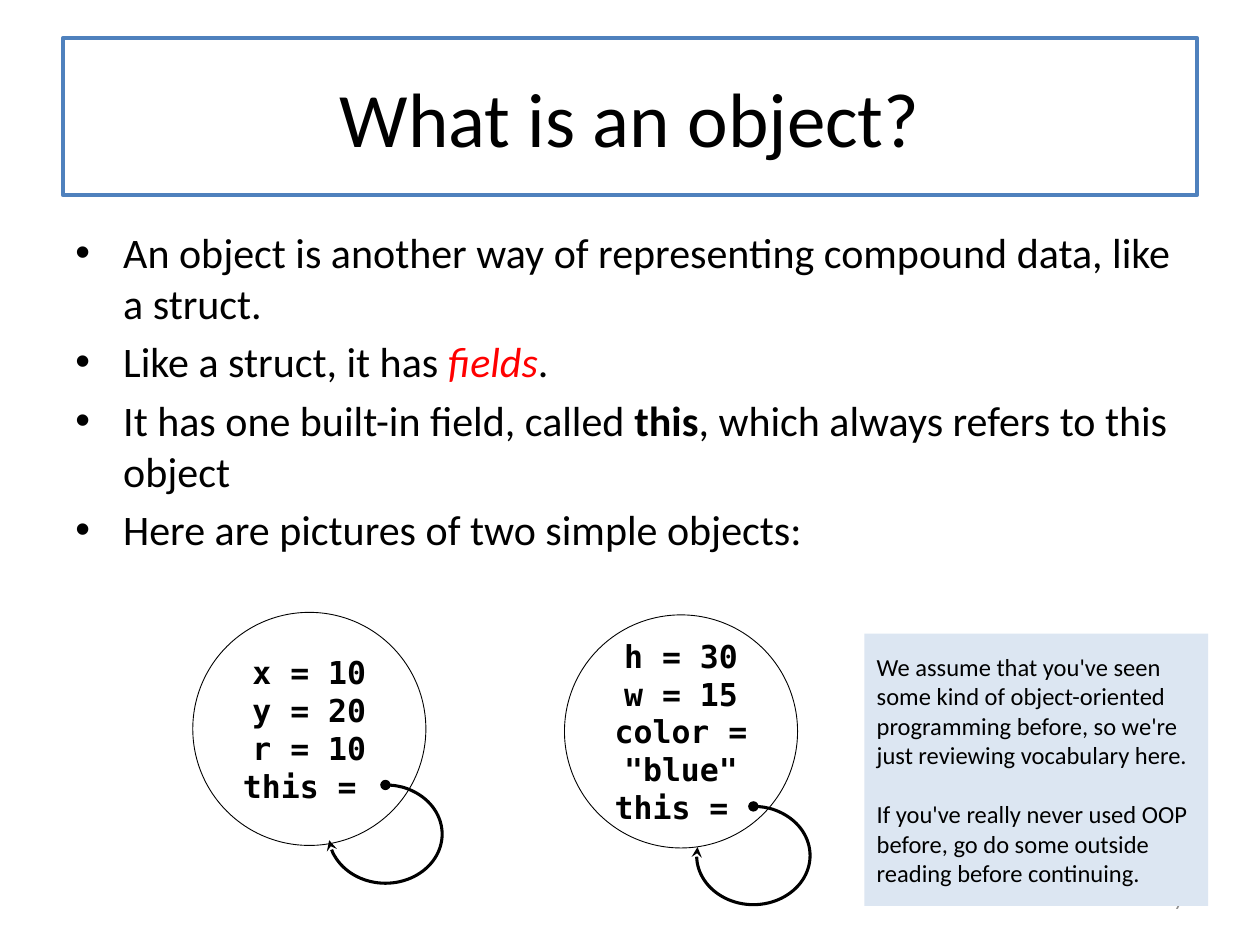
import pptx
import pptx.dml.color
import pptx.enum.shapes
import pptx.enum.text
import pptx.oxml
import pptx.oxml.ns
import pptx.util

SHAPE = pptx.enum.shapes.MSO_SHAPE
ALIGN = pptx.enum.text.PP_ALIGN
ANCHOR = pptx.enum.text.MSO_ANCHOR
COLUMNS, ROWS = 40, 30


def color(hex_string):
    return pptx.dml.color.RGBColor.from_string(hex_string)


def drawing_element(tag, **attributes):
    listed = "".join(f' {name}="{value}"' for name, value in attributes.items())
    return pptx.oxml.parse_xml(f'<a:{tag} {pptx.oxml.ns.nsdecls("a")}{listed}/>')


def write_text(paragraph, text, font="Calibri", size=24, hex_color="000000",
               bold=False, italic=False):
    run = paragraph.add_run()
    run.text = text
    run.font.name = font
    run.font.size = pptx.util.Pt(size)
    run.font.bold = bold
    run.font.italic = italic
    run.font.color.rgb = color(hex_color)


class SlideBuilder:
    """Holds the style and the slide; boxes are (column, row, columns, rows)."""

    accent, ink, note_fill, muted = "4F81BD", "000000", "DCE6F2", "8C8C8C"
    code_font = "DejaVu Sans Mono"

    def __init__(self, presentation):
        self.column = presentation.slide_width / COLUMNS
        self.row = presentation.slide_height / ROWS
        self.slide = presentation.slides.add_slide(presentation.slide_layouts[5])

    def place(self, box):
        left, top, width, height = box
        return (round(left * self.column), round(top * self.row),
                round(width * self.column), round(height * self.row))

    def title(self, box, text):
        shape = self.slide.shapes.title
        shape.left, shape.top, shape.width, shape.height = self.place(box)
        shape.fill.solid()
        shape.fill.fore_color.rgb = color("FFFFFF")
        shape.line.color.rgb = color(self.accent)
        shape.line.width = pptx.util.Pt(2.25)
        shape.text_frame.vertical_anchor = ANCHOR.MIDDLE
        paragraph = shape.text_frame.paragraphs[0]
        paragraph.alignment = ALIGN.CENTER
        write_text(paragraph, text, size=44)

    def shape(self, kind, box, fill=None, line_width=None):
        shape = self.slide.shapes.add_shape(kind, *self.place(box))
        shape.shadow.inherit = False
        if fill:
            shape.fill.solid()
            shape.fill.fore_color.rgb = color(fill)
        else:
            shape.fill.background()
        if line_width:
            shape.line.color.rgb = color(self.ink)
            shape.line.width = pptx.util.Pt(line_width)
        else:
            shape.line.fill.background()
        return shape

    def text(self, shape, lines, align=ALIGN.LEFT, anchor=ANCHOR.MIDDLE, gap=0,
             bullet=None, **text_format):
        """Each line is a list of (text, extra format) pairs."""
        frame = shape.text_frame
        frame.word_wrap = True
        frame.vertical_anchor = anchor
        for index, line in enumerate(lines):
            paragraph = frame.add_paragraph() if index else frame.paragraphs[0]
            paragraph.alignment = align
            paragraph.space_before = pptx.util.Pt(gap if index else 0)
            if bullet:
                properties = paragraph._p.get_or_add_pPr()
                indent = pptx.util.Inches(0.38)
                properties.set("marL", str(indent))
                properties.set("indent", str(-indent))
                properties.append(drawing_element("buFont", typeface="Arial"))
                properties.append(drawing_element("buChar", char=bullet))
            for text, extra in line:
                write_text(paragraph, text, **{**text_format, **extra})

    def text_box(self, box, lines, **options):
        self.text(self.slide.shapes.add_textbox(*self.place(box)), lines, **options)

    def object_circle(self, box, fields):
        self.text(self.shape(SHAPE.OVAL, box, line_width=0.5),
                  [[(field, {})] for field in fields], align=ALIGN.CENTER,
                  font=self.code_font, size=18, bold=True)

    def self_reference(self, box, end_angle):
        arc = self.shape(SHAPE.ARC, box, line_width=1.75)
        # Arc angles are stored in 60000ths of a degree, scaled by 100000
        for index, angle in enumerate((270, end_angle)):
            arc.adjustments[index] = angle * 0.6
        line = arc.line._get_or_add_ln()
        line.append(drawing_element("headEnd", type="oval"))
        line.append(drawing_element("tailEnd", type="stealth"))

    def note(self, box, lines):
        self.text(self.shape(SHAPE.RECTANGLE, box, fill=self.note_fill),
                  [[(line, {})] for line in lines], gap=17, size=14)


def main():
    presentation = pptx.Presentation()
    presentation.slide_width = pptx.util.Inches(10)
    presentation.slide_height = pptx.util.Inches(7.5)
    builder = SlideBuilder(presentation)

    # Title and bullets
    builder.title((2, 1.2, 36, 5), "What is an object?")
    builder.text_box((2, 7, 36, 19.8), [
        [("An object is another way of representing compound data, like a struct.", {})],
        [("Like a struct, it has ", {}),
         ("fields", {"hex_color": "FF0000", "italic": True}), (".", {})],
        [("It has one built-in field, called ", {}), ("this", {"bold": True}),
         (", which always refers to this object", {})],
        [("Here are pictures of two simple objects:", {})],
    ], anchor=ANCHOR.TOP, gap=4.8, bullet="•")

    # Slide number
    builder.text_box((28.68, 27.8, 9.32, 1.6), [[("7", {})]], align=ALIGN.RIGHT,
                     size=12, hex_color=builder.muted)

    # Two objects, each with an arrow from "this" back to itself
    builder.object_circle((6.12, 19.44, 7.4, 7.4),
                          ["x = 10", "y = 20", "r = 10", "this = "])
    builder.object_circle((17.92, 19.52, 7.4, 7.4),
                          ["h = 30", "w = 15", 'color = "blue"', "this = "])
    builder.self_reference((10.44, 24.92, 3.6, 3.12), end_angle=173.78)
    builder.self_reference((22.12, 25.6, 3.6, 3.12), end_angle=188.66)

    # Side note
    builder.note((27.44, 20.12, 10.92, 8.64), [
        "We assume that you've seen some kind of object-oriented programming before, "
        "so we're just reviewing vocabulary here.",
        "If you've really never used OOP before, go do some outside reading before "
        "continuing.",
    ])

    presentation.save("out.pptx")


if __name__ == "__main__":
    main()
